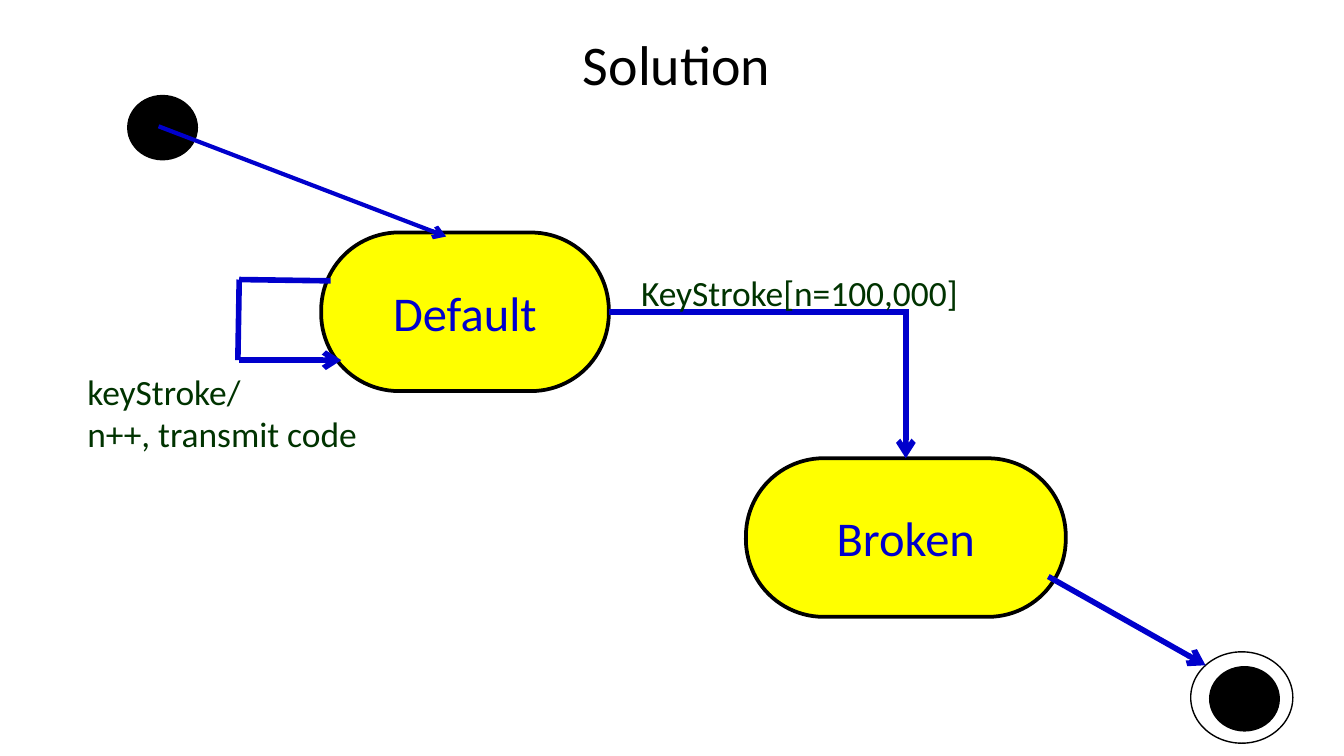
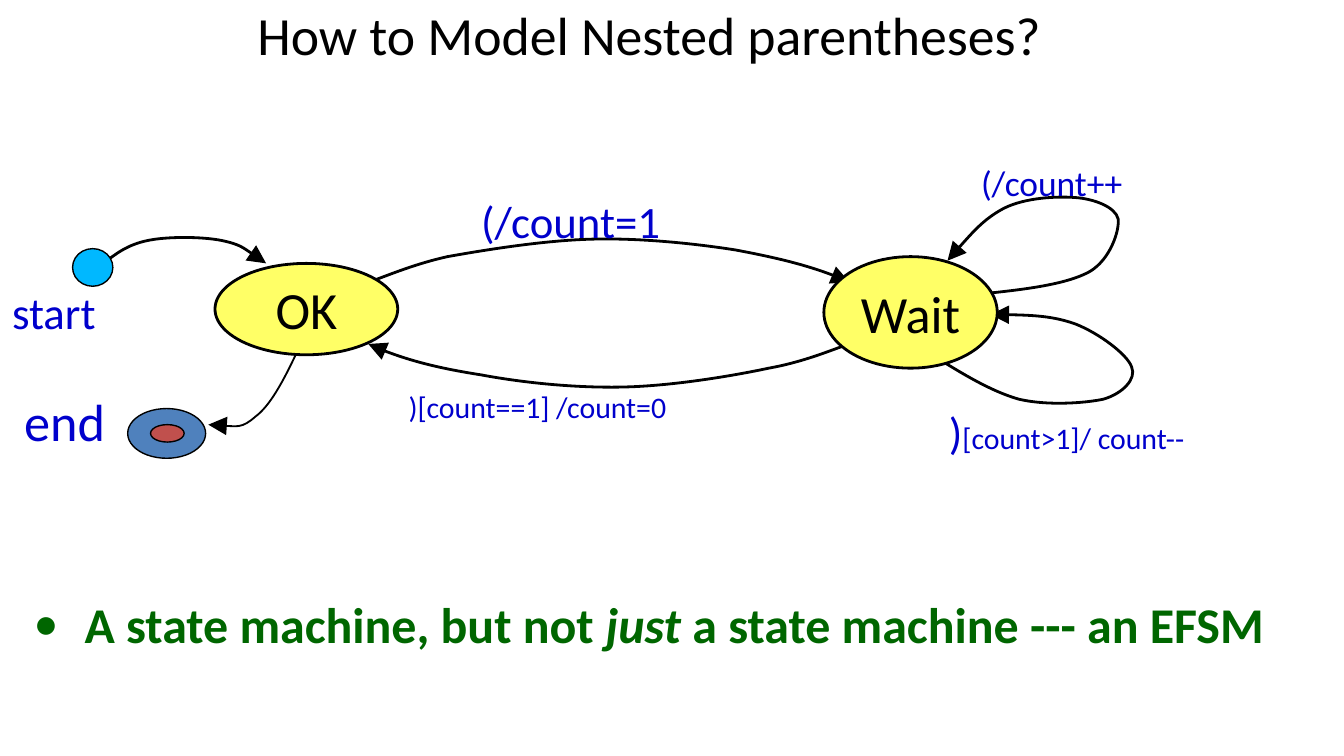
from lxml.etree import SubElement
from pptx import Presentation
from pptx.dml.color import RGBColor
from pptx.enum.shapes import MSO_CONNECTOR, MSO_SHAPE
from pptx.enum.text import MSO_ANCHOR, MSO_AUTO_SIZE, PP_ALIGN
from pptx.oxml.ns import qn
from pptx.util import Inches, Pt

FONT = "Calibri"
BLACK, BLUE, DARK_GREEN, GREEN = "000000", "0000CC", "003300", "006600"
YELLOW, PALE_YELLOW = "FFFF00", "FFFF66"

deck = Presentation()
deck.slide_width = Inches(10)
deck.slide_height = deck.slide_width * 9 // 16
cell = deck.slide_width // 100


def write(holder, lines, size, color, align=PP_ALIGN.LEFT, anchor=MSO_ANCHOR.TOP):
    frame = holder.text_frame
    frame.auto_size = MSO_AUTO_SIZE.NONE
    frame.word_wrap = True
    frame.vertical_anchor = anchor
    frame.margin_left = frame.margin_right = Inches(0.09)
    frame.margin_top = frame.margin_bottom = Inches(0.04)
    frame.text = lines
    for paragraph in frame.paragraphs:
        paragraph.alignment = align
        paragraph.font.name = FONT
        paragraph.font.size = Pt(size)
        paragraph.font.color.rgb = RGBColor.from_string(color)


def outline(item, color, width, arrowhead=None, scale="med"):
    item.line.color.rgb = RGBColor.from_string(color)
    item.line.width = Pt(width)
    if arrowhead:
        stroke = item.element.spPr.find(qn("a:ln"))
        SubElement(stroke, qn("a:tailEnd"), type=arrowhead, w=scale, len=scale)


slides = []
for heading, size, anchor, box in [
    ("Solution", 30, MSO_ANCHOR.MIDDLE, (7.7, 0, 85.3, 9.4)),
    ("How to Model Nested parentheses?", 28.8, MSO_ANCHOR.BOTTOM, (2.8, 1.4, 91, 3.9)),
]:
    slide = deck.slides.add_slide(deck.slide_layouts[5])
    title = slide.shapes.title
    title.left, title.top, title.width, title.height = [int(n * cell) for n in box]
    write(title, heading, size, BLACK, PP_ALIGN.CENTER, anchor)
    slides.append(slide)
keyboard, parentheses = slides

for start_x, start_y, *controls in [
    (27.4, 21, 28.4, 20.7, 30.6, 19.7, 33.3, 19.1, 36.1, 18.6, 40.4, 17.9, 44, 17.8,
     47.5, 17.7, 51.5, 18.1, 54.7, 18.6, 57.9, 19.2, 61.1, 20, 63.2, 21),
    (63.2, 25.6, 62.2, 25.9, 60, 26.9, 57.2, 27.4, 54.4, 28, 50.1, 28.7, 46.6, 28.8,
     43, 28.9, 39, 28.5, 35.8, 27.9, 32.6, 27.4, 29.5, 26.6, 27.4, 25.6),
    (69.5, 26.5, 71.6, 27.8, 73.7, 29.1, 75.8, 29.7, 77.9, 30.2, 80.7, 30, 82.1, 29.7,
     83.5, 29.3, 84.6, 28.2, 84.2, 27.3, 83.9, 26.4, 81.8, 24.8, 80, 24.1,
     78.3, 23.5, 76, 23.4, 73.7, 23.4),
    (73.7, 21.8, 76.6, 21.5, 79.5, 21.1, 81.1, 20.2, 82.6, 19.3, 83.3, 17.2, 83.2, 16.3,
     83, 15.4, 81.4, 14.8, 80, 14.7, 78.6, 14.6, 76.3, 14.7, 74.7, 15.5,
     73.2, 16.3, 71.8, 17.9, 70.5, 19.4),
    (7.7, 19.6, 8.6, 18.9, 9.5, 18.2, 11, 17.9, 12.4, 17.6, 15, 17.6, 16.5, 17.9,
     17.9, 18.2, 18.8, 18.9, 19.8, 19.6),
    (22, 26.4, 21.1, 28.3, 20.1, 30.2, 19, 31, 18, 31.9, 16.7, 31.7, 15.5, 31.6),
]:
    builder = parentheses.shapes.build_freeform(start_x * cell, start_y * cell)
    points = [(x * cell, y * cell) for x, y in zip(controls[::2], controls[1::2])]
    builder.add_line_segments(points, close=False)
    transition = builder.convert_to_shape()
    transition.shadow.inherit = False
    transition.fill.background()
    outline(transition, BLACK, 1 if start_x == 22 else 1.5, "triangle", "lg")
    segments = list(transition.element.iter(qn("a:lnTo")))
    for first, second, third in zip(segments[::3], segments[1::3], segments[2::3]):
        first.tag = qn("a:cubicBezTo")
        for control in (second, third):
            first.append(control[0])
            control.getparent().remove(control)

rounded, oval = MSO_SHAPE.ROUNDED_RECTANGLE, MSO_SHAPE.OVAL
states = {}
for slide, kind, name, size, color, fill, width, *box in [
    (keyboard, rounded, "Default", 26, BLUE, YELLOW, 2, 23.9, 17.3, 21.4, 11.8),
    (keyboard, rounded, "Broken", 26, BLUE, YELLOW, 2, 55.5, 34.1, 23.8, 11.8),
    (parentheses, oval, "OK", 28, BLACK, PALE_YELLOW, 1.5, 16, 19.6, 13.6, 6.8),
    (parentheses, oval, "Wait", 28, BLACK, PALE_YELLOW, 1.5, 61.3, 19.1, 12.9, 8.3),
]:
    state = slide.shapes.add_shape(kind, *[int(n * cell) for n in box])
    if kind == rounded:
        state.adjustments[0] = 0.49
    state.shadow.inherit = False
    state.fill.solid()
    state.fill.fore_color.rgb = RGBColor.from_string(fill)
    outline(state, BLACK, width)
    write(state, name, size, color, PP_ALIGN.CENTER, MSO_ANCHOR.MIDDLE)
    state.text_frame.word_wrap = kind == rounded
    states[name] = state

dot = MSO_SHAPE.FLOWCHART_CONNECTOR
for slide, kind, fill, width, *box in [
    (keyboard, dot, BLACK, 2, 9.6, 7.2, 5, 4.6),
    (keyboard, dot, BLACK, 2, 90.1, 49.7, 5, 4.6),
    (keyboard, oval, None, 0.75, 88.6, 48.5, 7.6, 6.8),
    (parentheses, oval, "00B8FF", 0.75, 5.4, 18.5, 3, 2.8),
    (parentheses, oval, "4F81BD", 0.75, 9.5, 30.4, 5.8, 3.7),
    (parentheses, oval, "C0504D", 0.75, 11.2, 31.6, 2.5, 1.3),
]:
    marker = slide.shapes.add_shape(kind, *[int(n * cell) for n in box])
    marker.shadow.inherit = False
    if fill:
        marker.fill.solid()
        marker.fill.fore_color.rgb = RGBColor.from_string(fill)
    else:
        marker.fill.background()
    outline(marker, BLACK, width)

steps = []
for width, arrowhead, *ends in [
    (3, None, 45.3, 23.2, 67.6, 23.2),
    (3, "arrow", 67.4, 23.2, 67.4, 34.1),
    (3, None, 17.8, 20.8, 24.6, 20.9),
    (3, "arrow", 17.8, 26.8, 25.4, 26.8),
    (3, None, 17.8, 20.8, 17.7, 26.8),
    (2.25, "arrow", 11.8, 9.4, 33.2, 17.6),
    (3, "arrow", 78, 42.9, 89.7, 49.5),
]:
    step = keyboard.shapes.add_connector(MSO_CONNECTOR.STRAIGHT, *[int(n * cell) for n in ends])
    outline(step, BLUE, width, arrowhead)
    SubElement(step.element.spPr, qn("a:effectLst"))
    steps.append(step)
steps[0].begin_connect(states["Default"], 3)
steps[1].end_connect(states["Broken"], 0)

for slide, words, size, color, *box in [
    (keyboard, "KeyStroke[n=100,000]", 19, DARK_GREEN, 46.8, 19.8, 26.1, 4.3),
    (keyboard, "keyStroke/\nn++, transmit code", 19, DARK_GREEN, 5.6, 27.1, 38.5, 7.5),
    (parentheses, "(/count=1", 24, BLUE, 34.9, 14, 31.6, 4.9),
    (parentheses, ")[count==1] /count=0", 16, BLUE, 29.5, 28.5, 61.3, 3.6),
    (parentheses, "(/count++", 19, BLUE, 72.1, 11.6, 31.6, 4.1),
    (parentheses, "start", 24, BLUE, 0, 20.8, 11.6, 4.9),
    (parentheses, "end", 28, BLUE, 0.9, 28.6, 13.2, 5.6),
    (parentheses, ")", 24, BLUE, 69.7, 29.7, 30.3, 4.9),
    (parentheses, "A state machine, but not ", 26.8, GREEN, 1.6, 42.9, 96, 9.4),
]:
    label = slide.shapes.add_textbox(*[int(n * cell) for n in box])
    write(label, words, size, color)
    paragraph = label.text_frame.paragraphs[0]
    if words == ")":
        guard = paragraph.add_run()
        guard.text = "[count>1]/ count--"
        guard.font.size = Pt(16)

emphasis = paragraph.add_run()
emphasis.text = "just"
emphasis.font.italic = True
paragraph.add_run().text = " a state machine --- an EFSM"
paragraph.font.bold = True
paragraph.line_spacing = 1.2
indent = paragraph._p.get_or_add_pPr()
indent.set("marL", str(Inches(0.38)))
indent.set("indent", str(-Inches(0.38)))
for tag, attributes in [("a:buFont", {"typeface": FONT}), ("a:buChar", {"char": "•"})]:
    bullet = SubElement(indent, qn(tag), attributes)
    indent.find(qn("a:defRPr")).addprevious(bullet)

deck.save("out.pptx")
